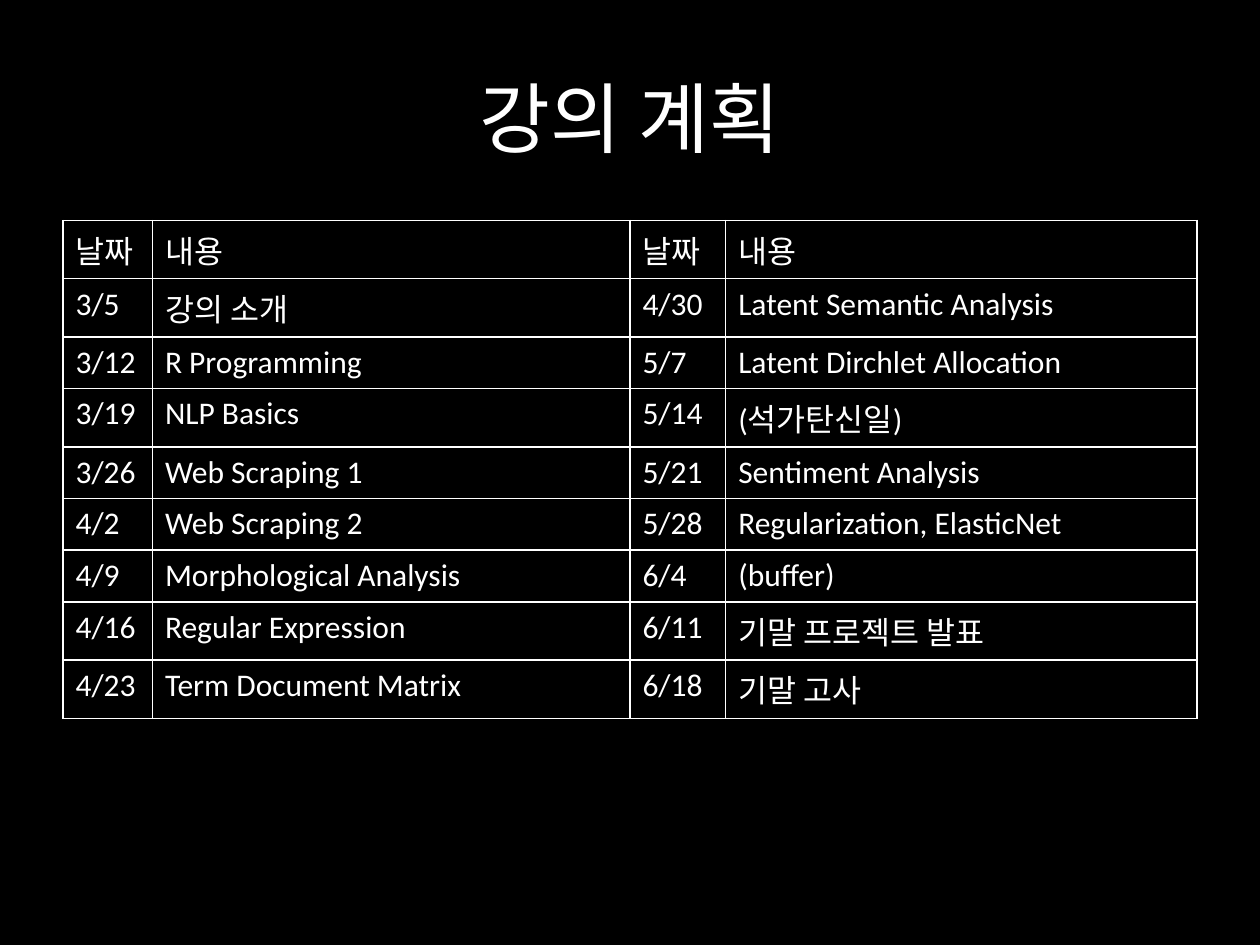
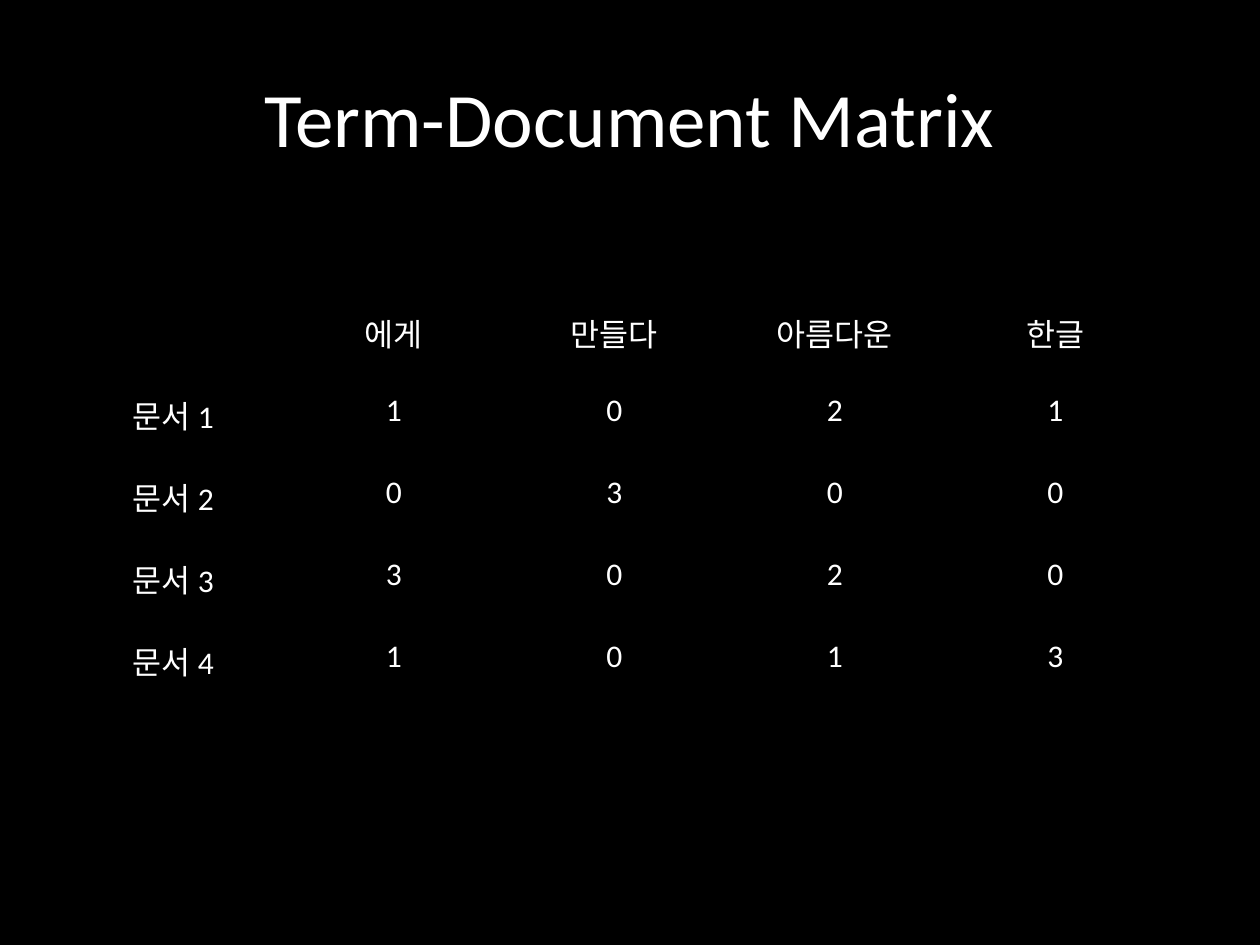
"""Build two course slides: the lecture plan and a term-document matrix."""
from dataclasses import dataclass

from lxml import etree
from pptx import Presentation
from pptx.dml.color import RGBColor
from pptx.enum import text
from pptx.oxml import ns
from pptx.util import Inches, Pt


@dataclass(frozen=True)
class Theme:
    back: RGBColor = RGBColor(0, 0, 0)
    ink: RGBColor = RGBColor(255, 255, 255)
    font: str = "Calibri"
    title_size: int = 44
    cell_size: int = 18
    border: int = 1
    no_grid: str = "{2D5ABB26-0587-4C30-8999-92F81FD0307C}"


theme = Theme()


def style(p, size, align):
    p.alignment = align
    p.font.name = theme.font
    p.font.size = Pt(size)
    p.font.color.rgb = theme.ink


def set_borders(cell, visible):
    tc_pr = cell._tc.get_or_add_tcPr()
    for side in ("lnL", "lnR", "lnT", "lnB"):
        ln = etree.SubElement(tc_pr, ns.qn(f"a:{side}"), w=str(Pt(theme.border)))
        if visible:
            fill = etree.SubElement(ln, ns.qn("a:solidFill"))
            etree.SubElement(fill, ns.qn("a:srgbClr"), val=str(theme.ink))
        else:
            etree.SubElement(ln, ns.qn("a:noFill"))


plan = [
    ("날짜", "내용", "날짜", "내용"),
    ("3/5", "강의 소개", "4/30", "Latent Semantic Analysis"),
    ("3/12", "R Programming", "5/7", "Latent Dirchlet Allocation"),
    ("3/19", "NLP Basics", "5/14", "(석가탄신일)"),
    ("3/26", "Web Scraping 1", "5/21", "Sentiment Analysis"),
    ("4/2", "Web Scraping 2", "5/28", "Regularization, ElasticNet"),
    ("4/9", "Morphological Analysis", "6/4", "(buffer)"),
    ("4/16", "Regular Expression", "6/11", "기말 프로젝트 발표"),
    ("4/23", "Term Document Matrix", "6/18", "기말 고사"),
]

terms = ["에게", "만들다", "아름다운", "한글"]
counts = [(1, 0, 2, 1), (0, 3, 0, 0), (3, 0, 2, 0), (1, 0, 1, 3)]
matrix = [["", *terms]]
matrix += [[f"문서 {n}", *map(str, row)] for n, row in enumerate(counts, 1)]

slides = [
    ("강의 계획", plan, 1.75, [0.71, 3.79, 0.76, 3.74], 0.41, text.PP_ALIGN.LEFT, True),
    ("Term-Document Matrix", matrix, 2.41, [1.75] * 5, 0.65, text.PP_ALIGN.CENTER, False),
]

prs = Presentation()
prs.slide_width, prs.slide_height = Inches(10), Inches(7.5)
title_only = prs.slide_layouts[5]

for title, rows, top, widths, row_height, align, bordered in slides:
    s = prs.slides.add_slide(title_only)
    s.background.fill.solid()
    s.background.fill.fore_color.rgb = theme.back

    sp = s.shapes.title
    sp.left, sp.top, sp.width, sp.height = map(Inches, (0.5, 0.3, 9, 1.25))
    tf = sp.text_frame
    tf.text = title
    tf.vertical_anchor = text.MSO_ANCHOR.MIDDLE
    style(tf.paragraphs[0], theme.title_size, text.PP_ALIGN.CENTER)

    frame = s.shapes.add_table(
        len(rows), len(widths), Inches(0.5), Inches(top),
        Inches(sum(widths)), Inches(row_height * len(rows)))
    table = frame.table
    table.first_row = table.horz_banding = False
    table._tbl.tblPr.find(ns.qn("a:tableStyleId")).text = theme.no_grid
    for column, width in zip(table.columns, widths):
        column.width = Inches(width)
    for table_row, values in zip(table.rows, rows):
        table_row.height = Inches(row_height)
        for cell, value in zip(table_row.cells, values):
            cell.text = value
            style(cell.text_frame.paragraphs[0], theme.cell_size, align)
            set_borders(cell, bordered)
            cell.fill.background()

prs.save("out.pptx")
